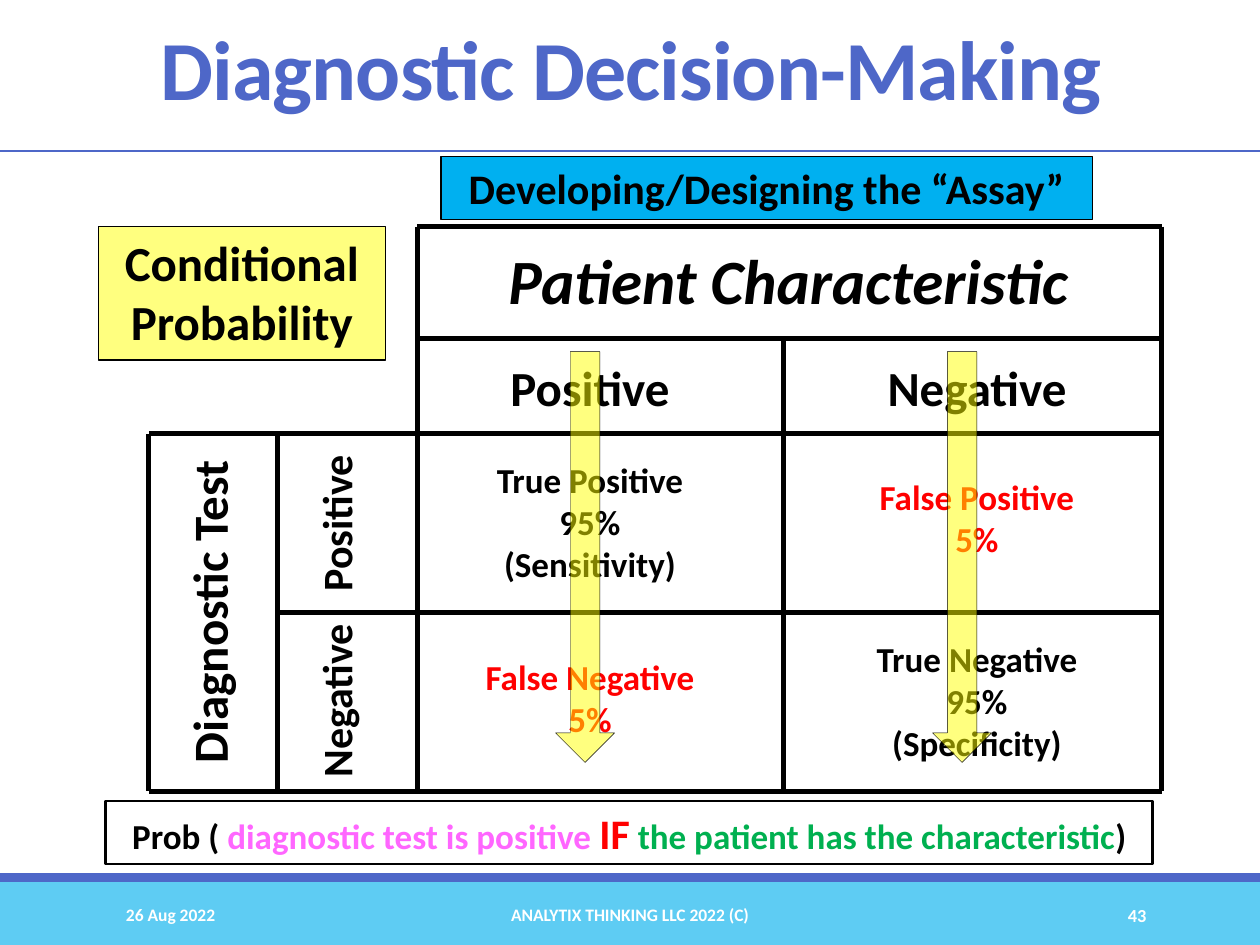
from lxml import etree
from pptx import Presentation
from pptx.dml.color import RGBColor
from pptx.enum.shapes import MSO_CONNECTOR as Link, MSO_SHAPE as Kind
from pptx.enum.text import MSO_ANCHOR as Anchor, MSO_AUTO_SIZE as Fit, PP_ALIGN as Align
from pptx.oxml.ns import qn
from pptx.util import Cm, Pt

BLACK = RGBColor(0x00, 0x00, 0x00)
WHITE = RGBColor(0xFF, 0xFF, 0xFF)
RED = RGBColor(0xFF, 0x00, 0x00)
GREEN = RGBColor(0x00, 0xB0, 0x50)
PINK = RGBColor(0xFF, 0x66, 0xFF)
YELLOW = RGBColor(0xFF, 0xFF, 0x00)
BLUE = RGBColor(0x4E, 0x67, 0xC8)
SKY = RGBColor(0x5E, 0xCC, 0xF3)
CYAN = RGBColor(0x00, 0xB0, 0xF0)

deck = Presentation()
deck.slide_width, deck.slide_height = Cm(25.4), Cm(19.05)
slide = deck.slides.add_slide(deck.slide_layouts[5])
shapes = slide.shapes


def write(text, at=None, shape=None, size=20, color=BLACK, italic=False,
          align=Align.CENTER, anchor=Anchor.TOP, turn=0):
    """Fill a shape, or a new text box; text is a string or (text, color, size) runs."""
    if shape is None:
        shape = shapes.add_textbox(*map(Cm, at))
    shape.rotation = turn
    frame = shape.text_frame
    frame.word_wrap = True
    frame.auto_size = Fit.NONE
    frame.vertical_anchor = anchor
    lines = [[(line, color, size)] for line in text.split("\n")] if isinstance(text, str) else [text]
    for i, line in enumerate(lines):
        para = frame.add_paragraph() if i else frame.paragraphs[0]
        para.alignment = align
        for words, tint, points in line:
            run = para.add_run()
            run.text = words
            font = run.font
            font.name, font.size = "Calibri", Pt(points)
            font.bold, font.italic = True, italic
            font.color.rgb = tint
    return shape


def draw(kind, at, fill, line=0, clear=False):
    """Add a filled shape, half transparent if clear, with a black line if given."""
    shape = shapes.add_shape(kind, *map(Cm, at))
    shape.shadow.inherit = False
    shape.fill.solid()
    shape.fill.fore_color.rgb = fill
    if clear:
        tint = shape.fill._xPr.find(".//" + qn("a:srgbClr"))
        etree.SubElement(tint, qn("a:alpha")).set("val", "50000")
    if line:
        shape.line.color.rgb = BLACK
        shape.line.width = Pt(line)
    else:
        shape.line.fill.background()
    return shape


# Footer bands
draw(Kind.RECTANGLE, (0, 17.78, 25.4, 1.27), SKY)
draw(Kind.RECTANGLE, (0, 17.6, 25.4, 0.18), BLUE)

# Title rule and the grid of the two-by-two table
x0, x1, x2, x3, x4 = 3, 5.59, 8.41, 15.8, 23.42
y0, y1, y2, y3, y4 = 4.57, 6.83, 8.74, 12.34, 15.95
rules = [(0, 3.05, 25.4, 3.05, BLUE, 1)]
for y, left in ((y0, x2), (y1, x2), (y2, x0), (y3, x1), (y4, x0)):
    rules.append((left, y, x4, y, BLACK, 3))
for x, top in ((x0, y2), (x1, y2), (x2, y0), (x3, y1), (x4, y0)):
    rules.append((x, top, x, y4, BLACK, 3))
for *ends, color, width in rules:
    rule = shapes.add_connector(Link.STRAIGHT, *map(Cm, ends))
    rule.line.color.rgb = color
    rule.line.width = Pt(width)
    etree.SubElement(rule._element.spPr, qn("a:effectLst"))

# Row and column heads
write("Diagnostic Test", (0.23, 11.61, 7.95, 1.45), size=28, turn=270)
write("Positive", (4.2, 9.91, 5.13, 1.27), size=24, turn=270)
write("Negative", (4.2, 13.49, 5.13, 1.27), size=24, turn=270)
write("Patient Characteristic", (8.59, 4.75, 14.6, 1.8), size=36, italic=True)

# Columns: left edge, head, then the cells with top, height and color
columns = [
    (9.19, "Positive", [("True Positive\n95%\n(Sensitivity)", 9.12, 2.82, BLACK),
                        ("False Negative\n5%", 13.08, 1.96, RED)]),
    (16.99, "Negative", [("False Positive\n5%", 9.47, 1.96, RED),
                         ("True Negative\n95%\n(Specificity)", 12.73, 2.82, BLACK)]),
]
for left, head, cells in columns:
    write(head, (left, 7.09, 5.41, 1.45), size=28)
    for text, top, height, color in cells:
        write(text, (left, top, 5.41, height), color=color)
for left in (11.2, 18.8):
    draw(Kind.DOWN_ARROW, (left, 7.09, 1.19, 8.28), YELLOW, line=0.25, clear=True)

# Callouts
note = draw(Kind.RECTANGLE, (1.98, 4.57, 5.79, 2.69), YELLOW, line=0.75, clear=True)
write("Conditional Probability", shape=note, size=28)
prob = draw(Kind.RECTANGLE, (2.13, 16.15, 21.11, 1.27), WHITE, line=1.5, clear=True)
write([("Prob ( ", BLACK, 20), ("diagnostic test is positive ", PINK, 20), ("IF", RED, 24),
       (" ", BLACK, 20), ("the patient has the characteristic", GREEN, 20), (")", BLACK, 20)],
      shape=prob)
assay = draw(Kind.RECTANGLE, (8.89, 3.15, 13.13, 1.27), CYAN, line=0.75)
write("Developing/Designing the “Assay”", shape=assay, size=24)

# Footer
for text, left, width, size, align in (
        ("26 Aug 2022", 2.29, 5.16, 10, Align.LEFT),
        ("ANALYTIX THINKING LLC 2022 (C)", 7.67, 10.06, 10, Align.CENTER),
        ("43", 20.62, 2.74, 10.5, Align.RIGHT)):
    write(text, (left, 17.93, width, 1.02), size=size, color=WHITE,
          align=align, anchor=Anchor.MIDDLE)

# Title
title = shapes.title
title.left, title.top, title.width, title.height = map(Cm, (2.24, 0.41, 20.96, 2.18))
write("Diagnostic Decision-Making", shape=title, size=48, color=BLUE, anchor=Anchor.MIDDLE)
para = title.text_frame.paragraphs[0]
para.line_spacing = 0.85
para.runs[0]._r.get_or_add_rPr().set("spc", "-50")

deck.save("out.pptx")
